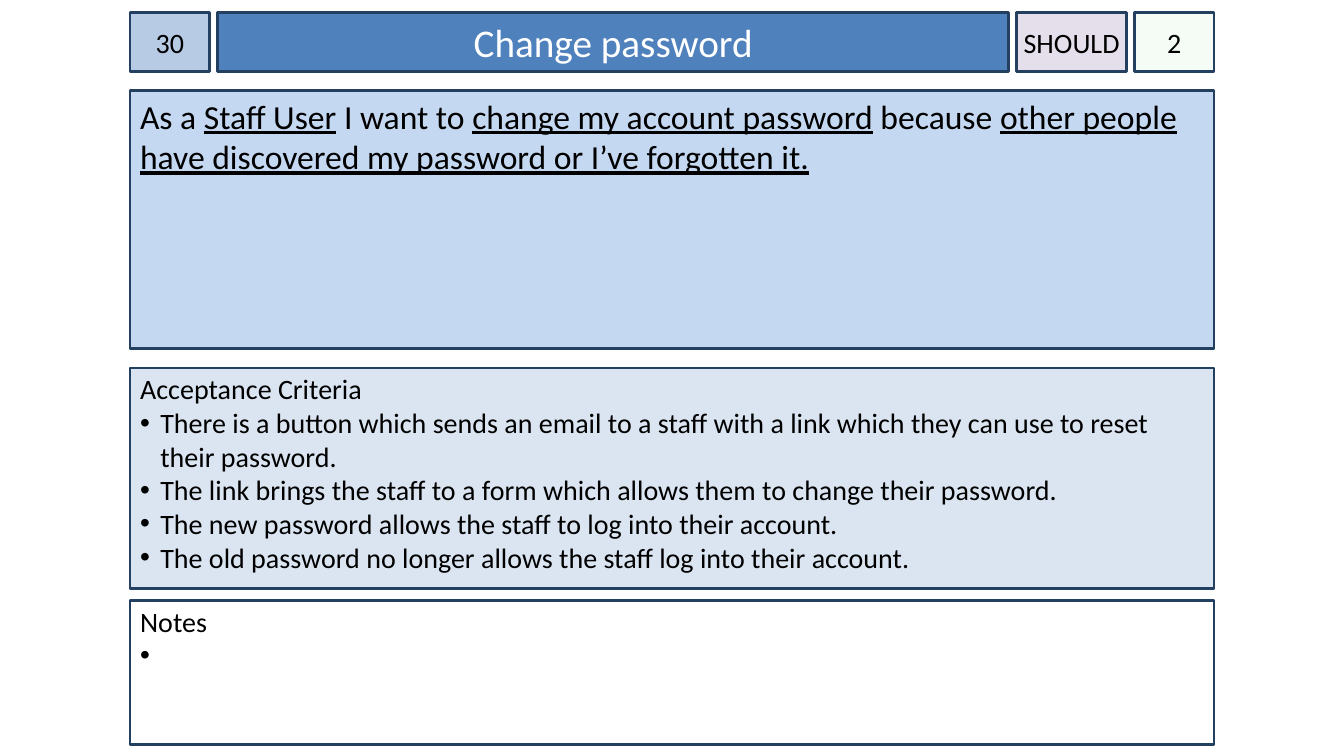
from lxml import etree
from pptx import Presentation
from pptx.dml.color import RGBColor
from pptx.enum.shapes import MSO_SHAPE
from pptx.enum.text import MSO_ANCHOR, MSO_AUTO_SIZE, PP_ALIGN
from pptx.oxml.ns import qn
from pptx.util import Inches, Pt

RECTANGLE = MSO_SHAPE.RECTANGLE
MIDDLE, TOP = MSO_ANCHOR.MIDDLE, MSO_ANCHOR.TOP
NO_AUTOFIT = MSO_AUTO_SIZE.NONE
CENTER, LEFT = PP_ALIGN.CENTER, PP_ALIGN.LEFT

TWO_CONTENT_LAYOUT = 3
FONT = "Calibri"
BLACK, WHITE, NAVY = "000000", "FFFFFF", "244061"
CARD_LEFT, CARD_WIDTH = 1.29, 10.75
BULLET_INDENT = 0.2

STORY = [
    ("As a ", False),
    ("Staff User", True),
    (" I want to ", False),
    ("change my account password", True),
    (" because ", False),
    ("other people have discovered my password or I’ve forgotten it.", True),
]
CRITERIA = [
    "There is a button which sends an email to a staff with a link which they can use to reset their password.",
    "The link brings the staff to a form which allows them to change their password.",
    "The new password allows the staff to log into their account.",
    "The old password no longer allows the staff log into their account.",
]


def set_color(color_format, value):
    color_format.rgb = RGBColor.from_string(value)


def set_values(target, values):
    for name, value in values.items():
        setattr(target, name, value)


def format_panel(panel, box, fill, anchor=TOP, side=0.1, top=0.05):
    places = dict(zip(("left", "top", "width", "height"), map(Inches, box)))
    set_values(panel, places)
    panel.fill.solid()
    set_color(panel.fill.fore_color, fill)
    set_color(panel.line.color, NAVY)
    panel.line.width = Pt(2)
    set_values(panel.text_frame, {
        "word_wrap": True,
        "auto_size": NO_AUTOFIT,
        "vertical_anchor": anchor,
        "margin_left": Inches(side),
        "margin_right": Inches(side),
        "margin_top": Inches(top),
        "margin_bottom": Inches(0.05),
    })


def add_panel(slide, box, fill, **layout):
    panel = slide.shapes.add_shape(RECTANGLE, *map(Inches, box))
    panel.shadow.inherit = False
    format_panel(panel, box, fill, **layout)
    return panel


def write_paragraph(paragraph, runs, size, color=BLACK, align=LEFT):
    set_values(paragraph, {"alignment": align, "space_before": Pt(0)})
    for text, underlined in runs:
        run = paragraph.add_run()
        run.text = text
        set_values(run.font, {"name": FONT, "size": Pt(size), "underline": underlined})
        set_color(run.font.color, color)


def set_bullet(paragraph, bulleted):
    properties = paragraph._p.get_or_add_pPr()
    indent = Inches(BULLET_INDENT) if bulleted else 0
    properties.set("marL", str(indent))
    properties.set("indent", str(-indent))
    if bulleted:
        bullet_color = etree.SubElement(properties, qn("a:buClr"))
        etree.SubElement(bullet_color, qn("a:srgbClr"), val=BLACK)
        etree.SubElement(properties, qn("a:buFont"), typeface="Arial")
        etree.SubElement(properties, qn("a:buChar"), char="•")
    else:
        etree.SubElement(properties, qn("a:buNone"))


def fill_header(slide, box):
    left, top, width, height = box
    tiles = [
        ("30", 0.79, "B7CCE4"),
        ("Change password", 7.85, "4F81BD"),
        ("SHOULD", 1.09, "E5DFEC"),
        ("2", 0.79, "CCF0CD"),
    ]
    gap = (width - sum(tile_width for _, tile_width, _ in tiles)) / (len(tiles) - 1)
    for position, (label, tile_width, fill) in enumerate(tiles):
        tile_box = (left, top, tile_width, height)
        if position == 1:
            title = slide.shapes.title
            format_panel(title, tile_box, fill, anchor=MIDDLE)
            write_paragraph(title.text_frame.paragraphs[0], [(label, False)], 28, WHITE, CENTER)
        else:
            tile = add_panel(slide, tile_box, fill, anchor=MIDDLE, side=0)
            write_paragraph(tile.text_frame.paragraphs[0], [(label, False)], 20, align=CENTER)
        left += tile_width + gap
    points_fill = tile.fill.fore_color._xFill.find(qn("a:srgbClr"))
    etree.SubElement(points_fill, qn("a:alpha"), val="20000")


def add_story(slide, box):
    story = add_panel(slide, box, "C5D8F1")
    write_paragraph(story.text_frame.paragraphs[0], STORY, 24)


def fill_list(body, box, fill, heading, items):
    format_panel(body, box, fill, top=0.04)
    frame = body.text_frame
    for position, text in enumerate([heading, *items]):
        paragraph = frame.add_paragraph() if position else frame.paragraphs[0]
        set_bullet(paragraph, position > 0)
        write_paragraph(paragraph, [(text, False)], 20)


def build_story_card(slide):
    _, criteria, notes = slide.placeholders
    fill_header(slide, (CARD_LEFT, 0.12, CARD_WIDTH, 0.59))
    add_story(slide, (CARD_LEFT, 0.9, CARD_WIDTH, 2.56))
    fill_list(criteria, (CARD_LEFT, 3.65, CARD_WIDTH, 2.19), "DAE5F1", "Acceptance Criteria", CRITERIA)
    fill_list(notes, (CARD_LEFT, 5.96, CARD_WIDTH, 1.43), WHITE, "Notes", [" "])


def main():
    presentation = Presentation()
    set_values(presentation, {"slide_width": Inches(13.33), "slide_height": Inches(7.5)})
    build_story_card(presentation.slides.add_slide(presentation.slide_layouts[TWO_CONTENT_LAYOUT]))
    presentation.save("out.pptx")


if __name__ == "__main__":
    main()
